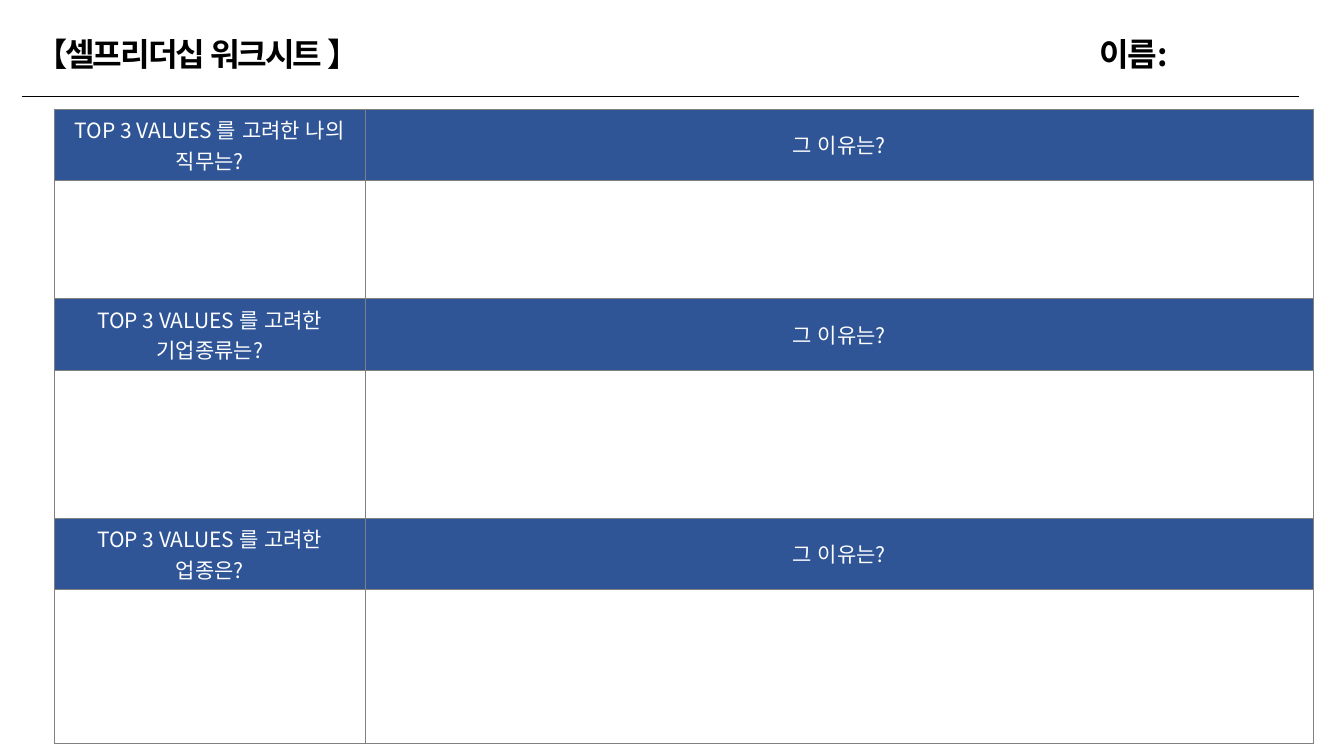
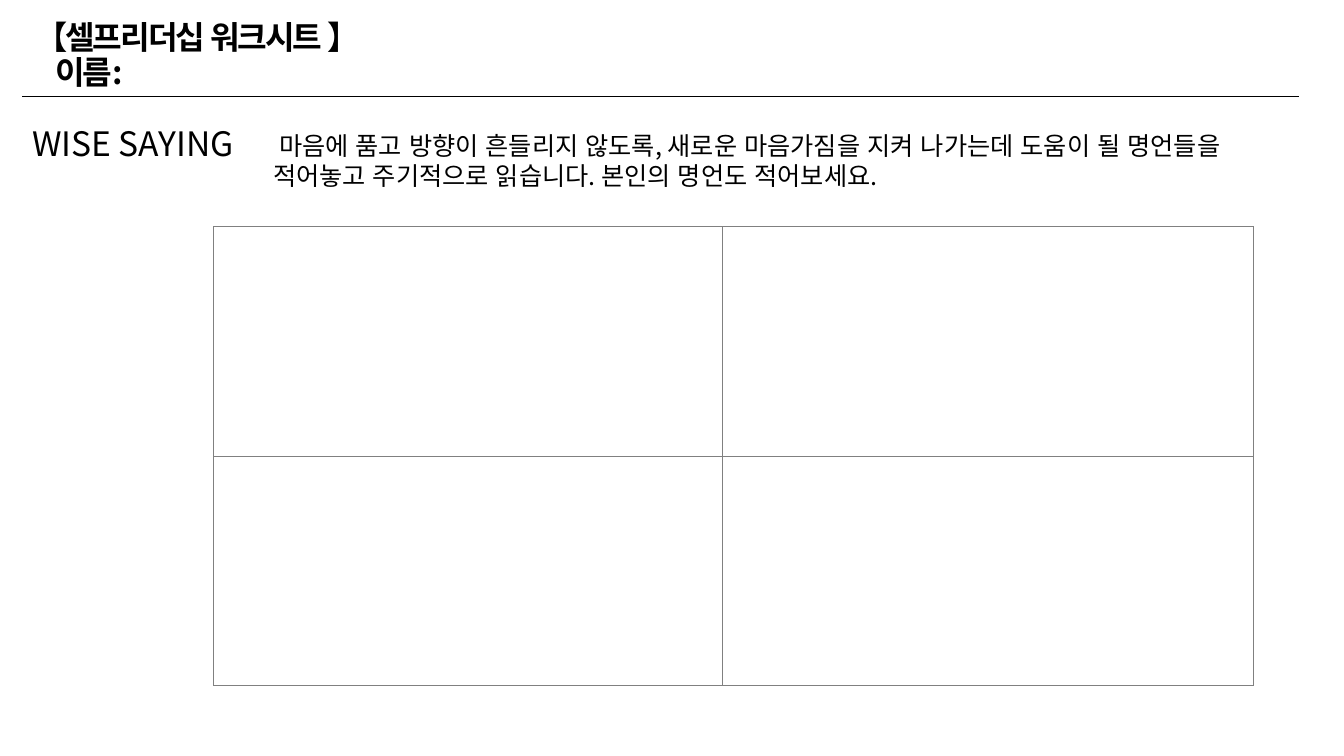
from lxml import etree
from pptx import Presentation
from pptx.dml.color import RGBColor
from pptx.enum import lang, shapes, text
from pptx.oxml import ns
from pptx.util import Inches, Pt

FONT = "Noto Sans CJK KR"
BLACK = RGBColor(0x00, 0x00, 0x00)
WHITE = RGBColor(0xFF, 0xFF, 0xFF)
BLUE = RGBColor(0x2F, 0x55, 0x97)
GRID = "808080"

# Content
TITLE = "【셀프리더십 워크시트 】"
NAME = "이름:"
REASON = "그 이유는?"
QUESTIONS = [  # question, height of its answer row
    ("TOP 3 VALUES 를 고려한 나의 직무는?", 1.17),
    ("TOP 3 VALUES 를 고려한 기업종류는?", 1.47),
    ("TOP 3 VALUES 를 고려한 업종은?", 1.53),
]
SAYING_HEADING = "WISE SAYING"
SAYING_GUIDE = ("마음에 품고 방향이 흔들리지 않도록, 새로운 마음가짐을 지켜 나가는데 도움이 될 "
                "명언들을 적어놓고 주기적으로 읽습니다. 본인의 명언도 적어보세요.")

QUESTION_HEIGHT = 0.71
HEADER_TOP, HEADER_HEIGHT = 0.16, 0.8
TITLE_STYLE = dict(size=23, bold=True, tracking=-150, spacing=0.9)


def write(paragraph, words, size, color=BLACK, bold=False, tracking=0,
          spacing=None, align=None, margin=0, indent=0):
    """Put formatted text into a paragraph."""
    run = paragraph.add_run()
    run.text = words
    run.font.size, run.font.bold = Pt(size), bold
    run.font.color.rgb = color
    run.font.name = FONT
    run.font.language_id = lang.MSO_LANGUAGE_ID.KOREAN
    properties = run.font._element
    etree.SubElement(properties, ns.qn("a:ea"), typeface=FONT)
    properties.set("kern", "0")
    if tracking:
        properties.set("spc", str(tracking))
    if spacing:
        paragraph.line_spacing = spacing
    if align is not None:
        paragraph.alignment = align
    if margin or indent:
        layout = paragraph._p.get_or_add_pPr()
        layout.set("marL", str(Inches(margin)))
        layout.set("indent", str(Inches(indent)))


def add_frame(slide, left, top, width, height, header=False):
    box = slide.shapes.add_textbox(*map(Inches, (left, top, width, height)))
    frame = box.text_frame
    frame.word_wrap = True
    if header:
        frame.vertical_anchor = text.MSO_ANCHOR.MIDDLE
        frame.margin_left = frame.margin_right = Inches(0.07)
        frame.margin_top = frame.margin_bottom = Inches(0.04)
    return frame


def add_header(slide):
    """Title over a thin rule; returns the title frame."""
    rule = slide.shapes.add_connector(
        shapes.MSO_CONNECTOR.STRAIGHT,
        Inches(0.22), Inches(0.96), Inches(12.88), Inches(0.96))
    rule.line.color.rgb, rule.line.width = BLACK, Pt(0.5)
    etree.SubElement(rule._element.spPr, ns.qn("a:effectLst"))
    frame = add_frame(slide, 0.28, HEADER_TOP, 10.4, HEADER_HEIGHT, header=True)
    write(frame.paragraphs[0], TITLE, **TITLE_STYLE)
    return frame


def style_cell(cell, fill):
    cell.fill.solid()
    cell.fill.fore_color.rgb = fill
    properties = cell._tc.get_or_add_tcPr()
    for position, side in enumerate(("lnL", "lnR", "lnT", "lnB")):
        border = etree.Element(ns.qn("a:" + side), w=str(Pt(0.5)))
        paint = etree.SubElement(border, ns.qn("a:solidFill"))
        etree.SubElement(paint, ns.qn("a:srgbClr"), val=GRID)
        properties.insert(position, border)


def add_grid(slide, left, top, widths, heights):
    """White ruled table with the given column widths and row heights."""
    table = slide.shapes.add_table(
        len(heights), len(widths), Inches(left), Inches(top),
        Inches(sum(widths)), Inches(sum(heights))).table
    table.first_row = table.horz_banding = False
    for column, width in zip(table.columns, widths):
        column.width = Inches(width)
    for row, height in zip(table.rows, heights):
        row.height = Inches(height)
    for cell in table.iter_cells():
        style_cell(cell, WHITE)
    return table


def build_values_sheet(slide):
    add_header(slide)
    name = add_frame(slide, 10.84, HEADER_TOP, 1.2, HEADER_HEIGHT, header=True)
    write(name.paragraphs[0], NAME, **TITLE_STYLE)

    # Question rows alternate with empty answer rows
    heights = [h for _, answer in QUESTIONS for h in (QUESTION_HEIGHT, answer)]
    table = add_grid(slide, 0.54, 1.08, [3.08, 9.41], heights)
    for index, (question, _) in enumerate(QUESTIONS):
        for column, words in enumerate((question, REASON)):
            cell = table.cell(2 * index, column)
            cell.fill.fore_color.rgb = BLUE
            cell.vertical_anchor = text.MSO_ANCHOR.MIDDLE
            cell.margin_left = cell.margin_right = Inches(0.11)
            write(cell.text_frame.paragraphs[0], words, 15, WHITE,
                  align=text.PP_ALIGN.CENTER)


def build_sayings_sheet(slide):
    header = add_header(slide)
    write(header.add_paragraph(), NAME, margin=0.2, **TITLE_STYLE)

    # Empty boxes for four sayings
    add_grid(slide, 2.12, 2.25, [5.04, 5.27], [2.28, 2.27])

    # Heading and guide
    heading = add_frame(slide, 0.22, 1.17, 2.3, 0.5)
    write(heading.paragraphs[0], SAYING_HEADING, 24)
    guide = add_frame(slide, 2.61, 1.24, 10.27, 1.01)
    write(guide.paragraphs[0], SAYING_GUIDE, 18, indent=0.06)


def main():
    deck = Presentation()
    deck.slide_width, deck.slide_height = Inches(13.33), Inches(7.5)
    for build in (build_values_sheet, build_sayings_sheet):
        build(deck.slides.add_slide(deck.slide_layouts[6]))
    deck.save("out.pptx")


if __name__ == "__main__":
    main()
